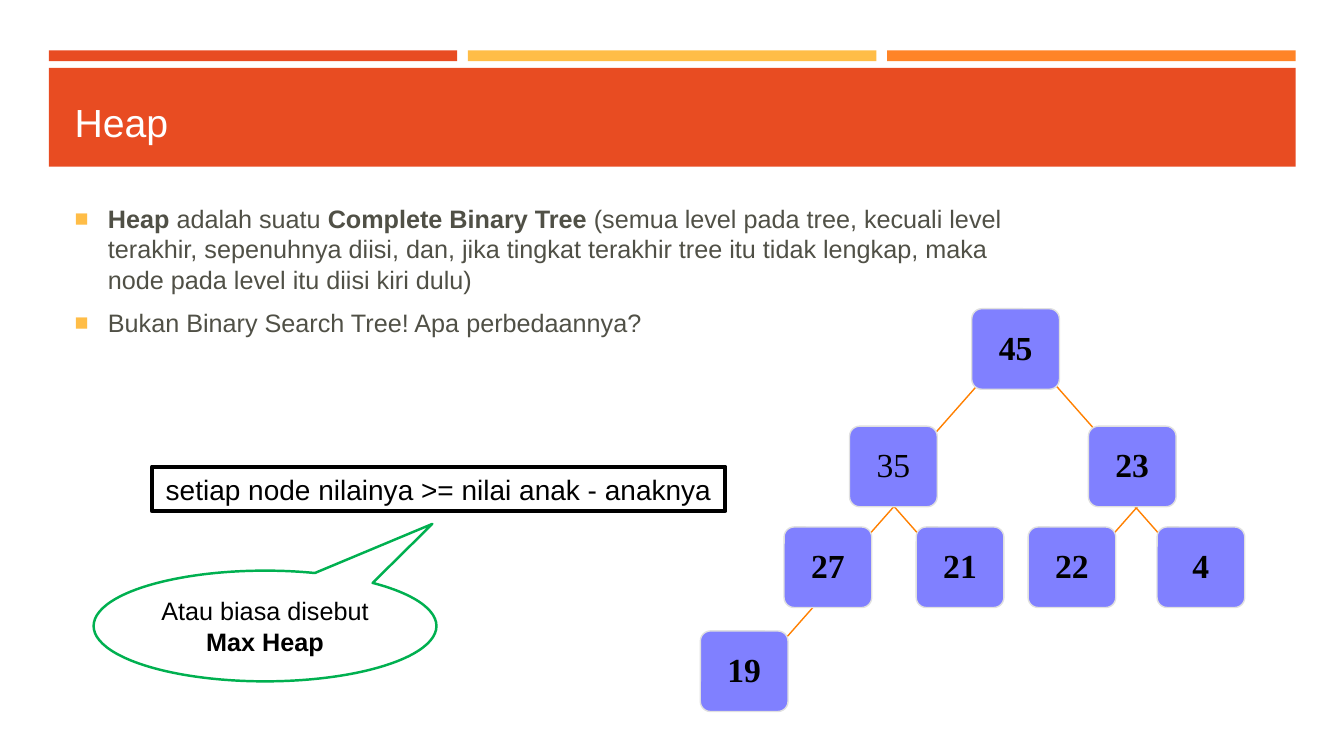
import lxml.etree
import pptx
import pptx.dml.color
import pptx.enum.shapes
import pptx.enum.text
import pptx.oxml.ns
import pptx.util

Cm = pptx.util.Cm
Pt = pptx.util.Pt
RGBColor = pptx.dml.color.RGBColor
Shape = pptx.enum.shapes.MSO_SHAPE
Anchor = pptx.enum.text.MSO_ANCHOR
Align = pptx.enum.text.PP_ALIGN
qn = pptx.oxml.ns.qn

RED = RGBColor(0xE8, 0x4C, 0x22)
YELLOW = RGBColor(0xFF, 0xBD, 0x47)
ORANGE = RGBColor(0xFF, 0x84, 0x27)
EDGE_ORANGE = RGBColor(0xFF, 0x80, 0x00)
NODE_BLUE = RGBColor(0x80, 0x80, 0xFF)
NODE_BORDER = RGBColor(0xE0, 0xE0, 0xE0)
GREEN = RGBColor(0x00, 0xB0, 0x50)
GREY = RGBColor(0x50, 0x50, 0x46)
BLACK = RGBColor(0x00, 0x00, 0x00)
WHITE = RGBColor(0xFF, 0xFF, 0xFF)

NODE_WIDTH, NODE_HEIGHT = 2.21, 2.03
EDGE_WIDTH, EDGE_HEIGHT = 1.57, 1.78
LEVEL_TOPS = [0, 2.96, 5.5, 8.12]
# value, level, left within the tree, bold
NODES = [
    ("45", 0, 6.84, True),
    ("35", 1, 3.76, False),
    ("23", 1, 9.78, True),
    ("27", 2, 2.11, True),
    ("21", 2, 5.44, True),
    ("22", 2, 8.26, True),
    ("4", 2, 11.51, True),
    ("19", 3, 0, True),
]
# upper end within the tree, direction (-1 left child, 1 right child)
EDGES = [
    (6.99, 1.92, -1),
    (8.84, 1.8, 1),
    (5.34, 4.46, -1),
    (4.42, 4.46, 1),
    (11.48, 4.46, -1),
    (10.49, 4.46, 1),
    (3.23, 7.08, -1),
]


def add_box(slide, kind, left, top, width, height, fill=None, line=None, line_width=1):
    """Add a preset shape, measured in centimetres."""
    shape = slide.shapes.add_shape(kind, Cm(left), Cm(top), Cm(width), Cm(height))
    shape.shadow.inherit = False
    if fill is None:
        shape.fill.background()
    else:
        shape.fill.solid()
        shape.fill.fore_color.rgb = fill
    if line is None:
        shape.line.fill.background()
    else:
        shape.line.color.rgb = line
        shape.line.width = Pt(line_width)
    return shape


def write_text(shape, paragraphs, size, color=BLACK, font="Arial", align=Align.CENTER,
               anchor=Anchor.MIDDLE, wrap=True, line_spacing=None):
    """Fill a shape; each paragraph is a list of (text, bold) runs."""
    frame = shape.text_frame
    frame.word_wrap = wrap
    frame.vertical_anchor = anchor
    for index, runs in enumerate(paragraphs):
        paragraph = frame.add_paragraph() if index else frame.paragraphs[0]
        paragraph.alignment = align
        if line_spacing:
            paragraph.line_spacing = line_spacing
        for text, bold in runs:
            run = paragraph.add_run()
            run.text = text
            run.font.name = font
            run.font.size = Pt(size)
            run.font.bold = bold
            run.font.color.rgb = color
    return frame


def add_bullet(paragraph):
    paragraph.space_before = Pt(3.6)
    paragraph.space_after = Pt(6)
    properties = paragraph._p.get_or_add_pPr()
    properties.set("marL", str(Cm(0.84)))
    properties.set("indent", str(-Cm(0.84)))
    color = lxml.etree.SubElement(properties, qn("a:buClr"))
    lxml.etree.SubElement(color, qn("a:srgbClr"), val=str(YELLOW))
    lxml.etree.SubElement(properties, qn("a:buSzPct"), val="92000")
    lxml.etree.SubElement(properties, qn("a:buFont"), typeface="Arial")
    lxml.etree.SubElement(properties, qn("a:buChar"), char="■")


def add_header(slide, left, top, width):
    bar_width = 10.29
    step = (width - bar_width) / 2
    for index, color in enumerate([RED, YELLOW, ORANGE]):
        add_box(slide, Shape.RECTANGLE, left + index * step, top, bar_width, 0.27, color)
    add_box(slide, Shape.RECTANGLE, left, top + 0.44, width, 2.49, RED)
    title = slide.shapes.add_textbox(Cm(left + 0.4), Cm(top + 0.69), Cm(width - 0.8), Cm(2.24))
    write_text(title, [[("Heap", False)]], 28, WHITE, align=Align.LEFT)


def add_definition(slide, left, top, width, height):
    body = slide.shapes.add_textbox(Cm(left), Cm(top), Cm(width), Cm(height))
    frame = write_text(body, [
        [("Heap ", True), ("adalah suatu ", False), ("Complete Binary Tree ", True),
         ("(semua level pada tree, kecuali level terakhir, sepenuhnya diisi, dan, "
          "jika tingkat terakhir tree itu tidak lengkap, maka node pada level itu "
          "diisi kiri dulu)", False)],
        [("Bukan Binary Search Tree! Apa perbedaannya?", False)],
    ], 18, GREY, align=Align.LEFT, anchor=Anchor.TOP)
    for paragraph in frame.paragraphs:
        add_bullet(paragraph)


def add_tree(slide, left, top):
    for x, y, direction in EDGES:
        start_x, start_y = left + x, top + y
        edge = slide.shapes.add_connector(
            pptx.enum.shapes.MSO_CONNECTOR.STRAIGHT, Cm(start_x), Cm(start_y),
            Cm(start_x + direction * EDGE_WIDTH), Cm(start_y + EDGE_HEIGHT))
        edge.line.color.rgb = EDGE_ORANGE
        edge.line.width = Pt(1)
        lxml.etree.SubElement(edge._element.spPr, qn("a:effectLst"))
    for value, level, x, bold in NODES:
        node = add_box(slide, Shape.ROUNDED_RECTANGLE, left + x, top + LEVEL_TOPS[level],
                       NODE_WIDTH, NODE_HEIGHT, NODE_BLUE, NODE_BORDER)
        node.adjustments[0] = 0.126
        write_text(node, [[(value, bold)]], 24, font="Times New Roman", line_spacing=0.95)


def add_heap_rule(slide, left, top):
    """Add the framed heap property and the callout that names it."""
    rule = add_box(slide, Shape.RECTANGLE, left + 1.47, top, 14.45, 1.12, None, BLACK, 3)
    write_text(rule, [[("setiap node nilainya >= nilai anak - anaknya", False)]], 20, wrap=False)
    callout = add_box(slide, Shape.OVAL_CALLOUT, left, top + 2.62, 8.64, 2.79, None, GREEN, 1.75)
    callout.adjustments[0] = 0.488
    callout.adjustments[1] = -0.922
    write_text(callout, [[("Atau biasa disebut ", False), ("Max Heap", True)]], 18)


def main():
    presentation = pptx.Presentation()
    presentation.slide_width = Cm(33.87)
    presentation.slide_height = Cm(19.05)
    slide = presentation.slides.add_slide(presentation.slide_layouts[6])
    add_header(slide, 1.23, 1.27, 31.42)
    add_definition(slide, 1.63, 5, 24.87, 3.71)
    add_tree(slide, 17.65, 7.78)
    add_heap_rule(slide, 2.36, 11.76)
    presentation.save("out.pptx")


if __name__ == "__main__":
    main()
